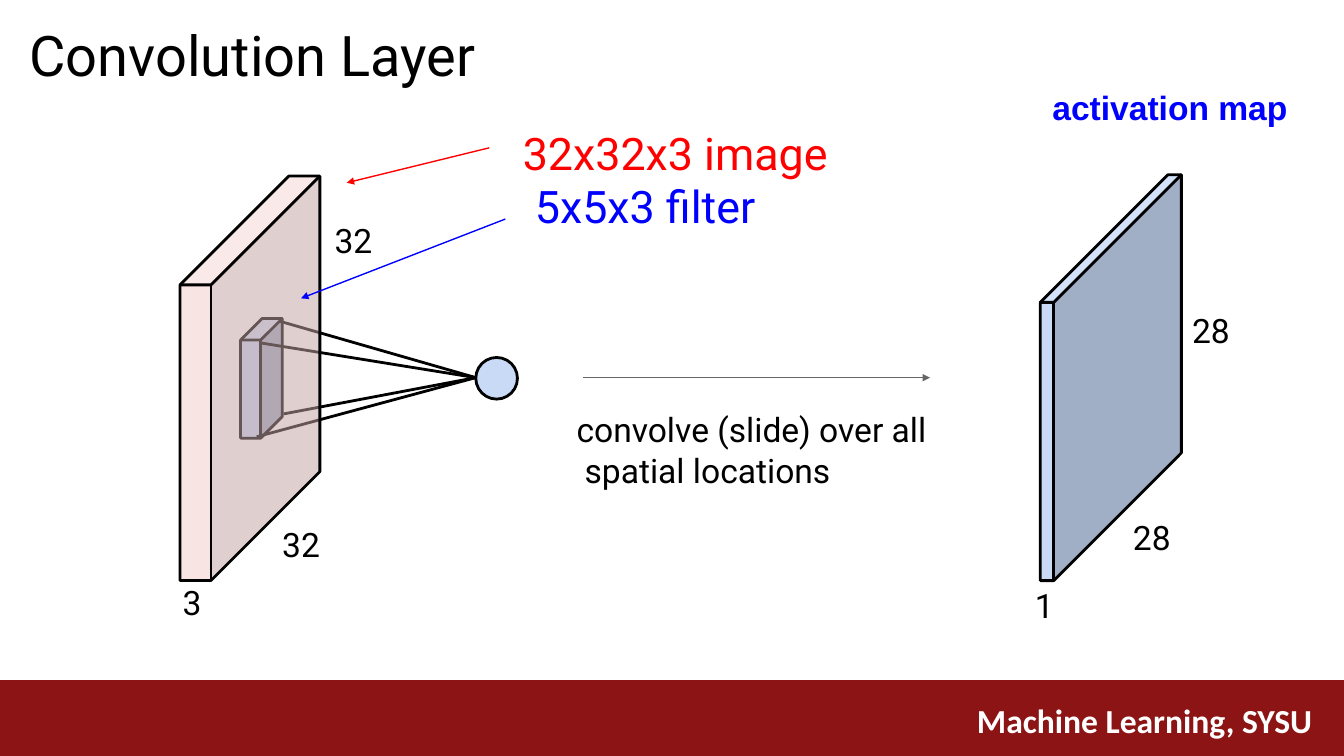
from lxml import etree
from pptx import Presentation
from pptx.dml.color import RGBColor as RGB
from pptx.enum.shapes import MSO_CONNECTOR as LINK, MSO_SHAPE as SHAPE
from pptx.enum.text import MSO_ANCHOR as ANCHOR, PP_ALIGN as ALIGN
from pptx.oxml.ns import qn
from pptx.util import Inches, Pt

HUES = {
    "black": "000000", "white": "FFFFFF", "red": "FF0000", "blue": "0000FF",
    "gray": "666666", "band": "8C1414",
    "sky": "C9DAF7", "sky_dark": "A0AEC6", "sky_pale": "D3E1F9",
    "rose": "F4CCCC", "rose_dark": "C3A3A3", "rose_pale": "F6D6D6",
}
HUES = {name: RGB.from_string(code) for name, code in HUES.items()}

deck = Presentation()
deck.slide_width = Inches(10)
deck.slide_height = deck.slide_width * 9 // 16
slide = deck.slides.add_slide(deck.slide_layouts[5])
shapes = slide.shapes


def write(box, rows, inset=(0, 0.01), **fmt):
    """Fill a box with rows of text, colour, left indent, size and line spacing."""
    frame = box.text_frame
    look = {
        "word_wrap": True, "vertical_anchor": ANCHOR.TOP,
        "margin_left": Inches(inset[0]), "margin_right": Inches(inset[0]),
        "margin_top": Inches(inset[1]), "margin_bottom": 0,
    }
    for key, value in look.items():
        setattr(frame, key, value)
    for i, (text, hue, dent, size, lead) in enumerate(rows):
        para = frame.add_paragraph() if i else frame.paragraphs[0]
        para._p.get_or_add_pPr().set("marL", str(Inches(dent)))
        para.alignment = ALIGN.LEFT
        para.line_spacing = lead
        run = para.add_run()
        run.text = text
        for key, value in {"name": "Roboto", "size": Pt(size), **fmt}.items():
            setattr(run.font, key, value)
        run.font.color.rgb = HUES[hue]


def draw(lines, fill=None, alpha=None):
    """Draw point lists as one shape: a filled face, or a black outline."""
    lines = [[(Inches(x), Inches(y)) for x, y in line] for line in lines]
    pen = shapes.build_freeform(*lines[0][0], scale=1)
    for i, line in enumerate(lines):
        if i:
            pen.move_to(*line[0])
        pen.add_line_segments(line[1:], close=not i)
    form = pen.convert_to_shape()
    form.shadow.inherit = False
    if fill:
        form.fill.solid()
        form.fill.fore_color.rgb = HUES[fill]
        form.line.fill.background()
    else:
        form.fill.background()
        form.line.color.rgb = HUES["black"]
        form.line.width = Pt(1.5)
    if alpha:
        tint = form._element.spPr.find(".//" + qn("a:srgbClr"))
        etree.SubElement(tint, qn("a:alpha")).set("val", str(alpha * 1000))


# Footer band and title
top = Inches(5.06)
band = shapes.add_shape(SHAPE.RECTANGLE, 0, top, deck.slide_width, deck.slide_height - top)
band.shadow.inherit = False
band.fill.solid()
band.fill.fore_color.rgb = HUES["band"]
band.line.fill.background()
foot = shapes.add_textbox(Inches(7.17), Inches(5.16), Inches(2.75), Inches(0.4))
write(foot, [("Machine Learning, SYSU", "white", 0, 18, None)], inset=(0.1, 0.05),
      name="Calibri", bold=True)

title = shapes.title
title.left, title.top = Inches(0.21), Inches(0.14)
title.width, title.height = Inches(3.38), Inches(0.53)
write(title, [("Convolution Layer", "black", 0.01, 30, None)])

# Neuron, joined to four corners of the filter
node = shapes.add_shape(SHAPE.OVAL, Inches(3.54), Inches(2.66), Inches(0.31), Inches(0.31))
node.shadow.inherit = False
node.fill.solid()
node.fill.fore_color.rgb = HUES["sky"]
node.line.color.rgb = HUES["black"]
node.line.width = Pt(1.5)

# Rays and arrows: start, end, colour, width, arrowhead
rays = [((x, y), (3.54, 2.81), "black", 1.5, False)
        for x, y in [(1.91, 3.25), (1.93, 2.55), (2.08, 2.39), (2.11, 3.08)]]
arrows = [
    ((3.64, 1.1), (2.58, 1.36), "red", 0.75, True),
    ((3.76, 1.63), (2.24, 2.22), "blue", 0.75, True),
    ((4.34, 2.81), (6.92, 2.81), "gray", 0.75, True),
]

# Slabs: left, front top, thickness, skew, front height, colour, opacity
filt = (1.79, 2.53, 0.15, 0.16, 0.73, "sky", None)
image = (1.34, 2.12, 0.23, 0.81, 2.2, "rose", 52)
layer = (7.74, 2.25, 0.1, 0.95, 2.07, "sky", None)

for slab, links in [(filt, rays), (image, arrows), (layer, [])]:
    x, y, thick, skew, high, hue, alpha = slab
    edge, low = x + thick, y + high
    near, corner, base = (x, y), (edge, y), (edge, low)
    back, far, end = (x + skew, y - skew), (edge + skew, y - skew), (edge + skew, low - skew)
    draw([[near, corner, base, (x, low)]], hue, alpha)
    draw([[corner, far, end, base]], hue + "_dark", alpha)
    draw([[near, back, far, corner]], hue + "_pale", alpha)
    draw([[near, back, far, end, base, (x, low)], [near, corner, far], [corner, base]])
    for start, stop, tone, width, tipped in links:
        link = shapes.add_connector(LINK.STRAIGHT, *map(Inches, start + stop))
        link.line.color.rgb = HUES[tone]
        link.line.width = Pt(width)
        if tipped:
            tip = etree.SubElement(link.line._get_or_add_ln(), qn("a:tailEnd"))
            for key, value in {"type": "triangle", "w": "sm", "len": "sm"}.items():
                tip.set(key, value)
        etree.SubElement(link._element.spPr, qn("a:effectLst"))

# Size labels
for text, x, y, wide in [
    ("32", 2.09, 3.89, 0.31), ("3", 1.35, 4.32, 0.17),
    ("1", 7.69, 4.34, 0.17), ("28", 8.42, 3.84, 0.31), ("28", 8.86, 2.3, 0.31),
]:
    label = shapes.add_textbox(Inches(x), Inches(y), Inches(wide), Inches(0.33))
    write(label, [(text, "black", 0.01, 18, None)])

# Captions
names = shapes.add_textbox(Inches(2.48), Inches(0.91), Inches(3.69), Inches(1.04))
write(names, [("32x32x3 image", "red", 1.41, 24, Pt(28.5)),
              ("5x5x3 filter", "blue", 1.5, 24, Pt(28.5)),
              ("32", "black", 0.01, 18, Pt(14.8))], inset=(0, 0.03))
note = shapes.add_textbox(Inches(4.28), Inches(3.03), Inches(2.75), Inches(0.63))
write(note, [("convolve (slide) over all", "black", 0.01, 18, 1.01),
             ("spatial locations", "black", 0.07, 18, 1.01)])
head = shapes.add_textbox(Inches(7.82), Inches(0.64), Inches(1.78), Inches(0.33))
write(head, [("activation map", "blue", 0.01, 18, None)], name="Arial", bold=True)

deck.save("out.pptx")
